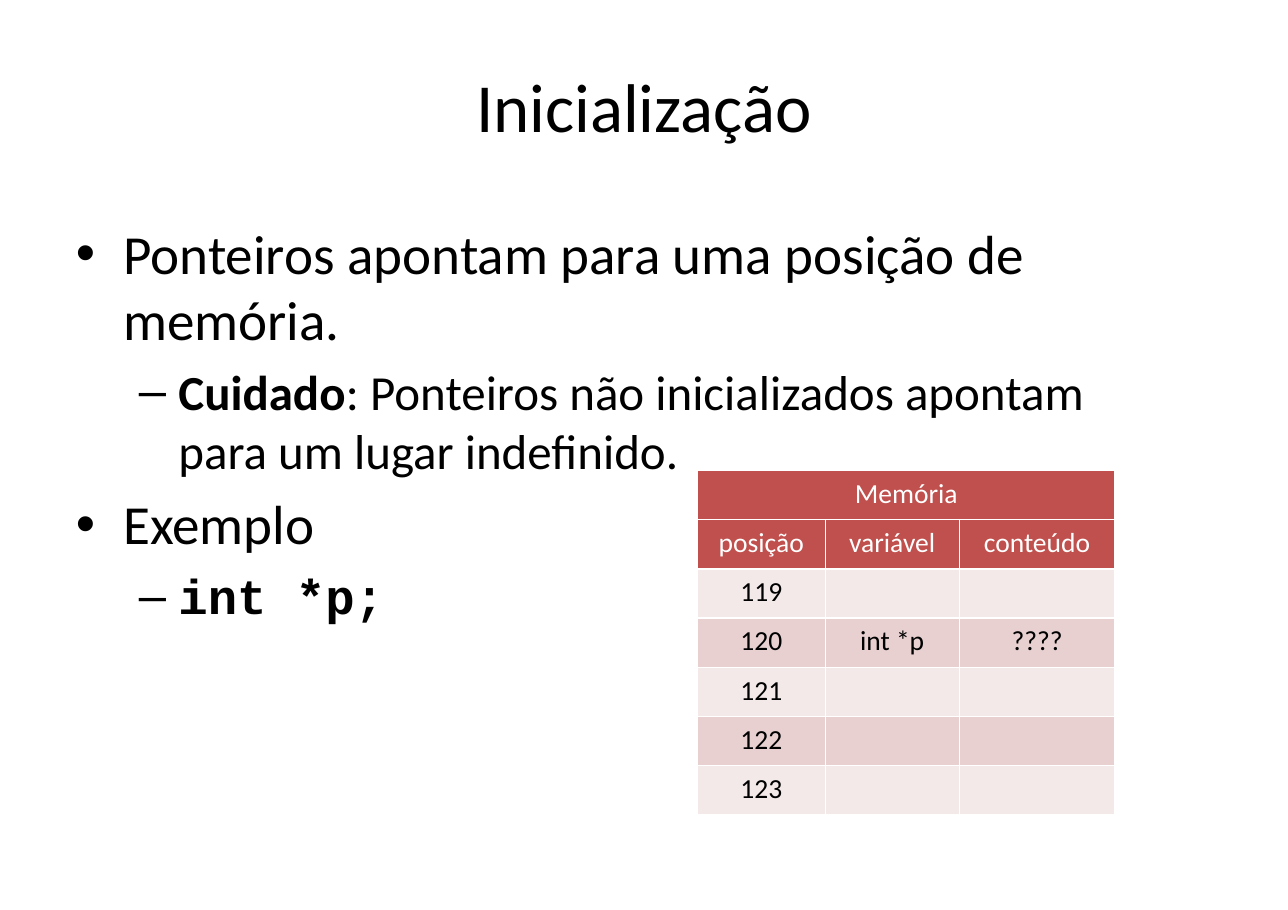
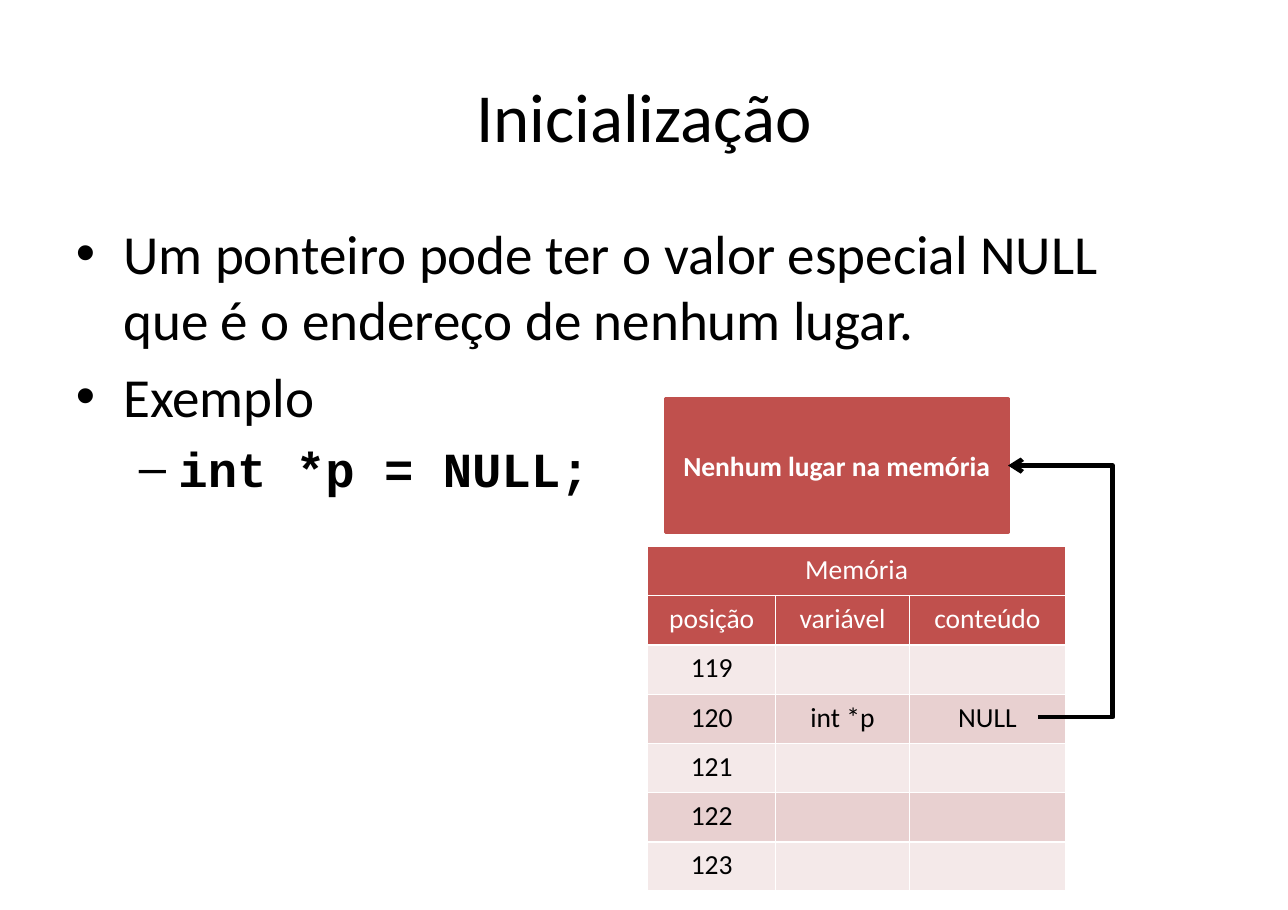
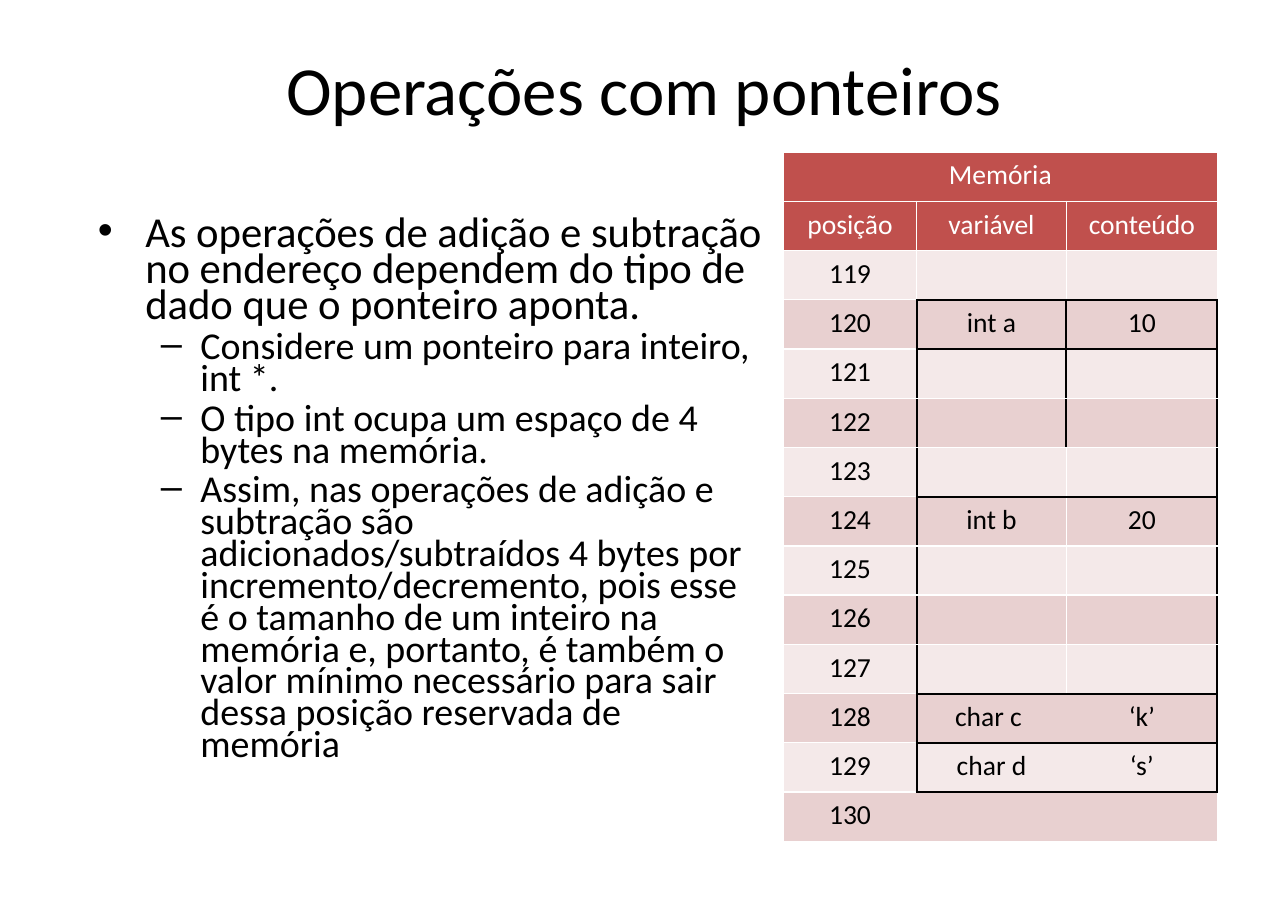
from pptx import Presentation, util as u
from pptx.dml.color import RGBColor
from pptx.enum import shapes, text
from pptx.oxml.ns import qn
from lxml import etree

WIDE, HIGH = u.Inches(11.69), u.Inches(8.26)
BLACK = RGBColor(0x00, 0x00, 0x00)
WHITE = RGBColor(0xFF, 0xFF, 0xFF)
RED = RGBColor(0xC0, 0x50, 0x4D)
PALE = RGBColor(0xF4, 0xE9, 0xE9)
ROSE = RGBColor(0xE8, 0xD0, 0xD0)
SANS, MONO = "Calibri", "Courier New"
PAD_X, PAD_Y = u.Inches(0.11), u.Inches(0.06)
ROW = 5.41  # table row height, percent of slide height
COLS = (9.92, 10.4, 12.1)
BULLETS = (("•", 0.43, 0.43), ("–", 0.93, 0.36))  # sign, margin, hang
HEAD = ("posição", "variável", "conteúdo")


# Shares of the slide, in percent
def across(pct):
    return round(WIDE * pct / 100)


def down(pct):
    return round(HIGH * pct / 100)


def area(x, y, w, h):
    return across(x), down(y), across(w), down(h)


def sub(node, tag, **attrs):
    return etree.SubElement(node, qn(tag), attrs)


def add_run(para, words, size, color=BLACK, bold=False, face=SANS):
    run = para.add_run()
    run.text = words
    font = run.font
    font.size, font.name, font.bold = u.Pt(size), face, bold
    font.color.rgb = color


def set_pads(frame):
    frame.margin_left = frame.margin_right = PAD_X
    frame.margin_top = frame.margin_bottom = PAD_Y
    frame.word_wrap = True


def add_slide(deck, title, top):
    slide = deck.slides.add_slide(deck.slide_layouts[5])
    head = slide.shapes.title
    head.left, head.top, head.width, head.height = area(7.5, top, 85, 7.87)
    frame = head.text_frame
    set_pads(frame)
    frame.auto_size = text.MSO_AUTO_SIZE.NONE
    frame.vertical_anchor = text.MSO_ANCHOR.MIDDLE
    para = frame.paragraphs[0]
    para.alignment = text.PP_ALIGN.CENTER
    add_run(para, title, 45)
    return slide


# Bulleted text: items are (level, run, run, ...), each run (words, bold, face)
def add_body(slide, items, left=4.96, width=81.69, sizes=(36, 32), lead=None):
    frame = slide.shapes.add_textbox(*area(left, 23.37, width, 71.07)).text_frame
    set_pads(frame)
    for i, (level, *runs) in enumerate(items):
        para = frame.paragraphs[0] if i == 0 else frame.add_paragraph()
        sign, margin, hang = BULLETS[level]
        size = sizes[level]
        props = para._p.get_or_add_pPr()
        props.set("marL", str(u.Inches(margin)))
        props.set("indent", str(-u.Inches(hang)))
        sub(props, "a:buFont", typeface="Arial")
        sub(props, "a:buChar", char=sign)
        para.level = level
        para.space_before = u.Pt(size * 0.2 if i else 0)
        if lead:
            para.line_spacing = lead
        for words, bold, face in runs:
            add_run(para, words, size, bold=bold, face=face)


def plain(words):
    return words, False, SANS


def code(words):
    return words, True, MONO


# Table borders: each rule gives (colour, points), or None for no line
THIN, THICK = (WHITE, 1), (BLACK, 1.5)


def grid_rule(row, col, side):
    return THIN


def block_rule(row, col, side):
    """Black frames round the variables in rows 3 to 12."""
    if side in "TB":
        edge = row + (side == "B")
        if col and edge in (3, 4, 7, 11, 12, 13):
            return THICK
        return None if col and edge == 14 else THIN
    edge = col + (side == "R")
    if row == 13 and edge:
        return None
    if 3 <= row <= 12 and edge in (1, 3):
        return THICK
    if edge == 2 and row in (3, 4, 5):
        return THICK
    return None if edge == 2 and row in (11, 12) else THIN


def set_edge(cell, side, line):
    color, width = line or (None, 0)
    node = sub(cell._tc.get_or_add_tcPr(), "a:ln" + side, w=str(u.Pt(width)))
    if color is None:
        sub(node, "a:noFill")
    else:
        sub(sub(node, "a:solidFill"), "a:srgbClr", val=str(color))


def add_memory(slide, left, top, last, values, cols=COLS, rule=grid_rule):
    rows = [("Memória", "", ""), HEAD]
    rows += [(str(n), *values.get(n, ("", ""))) for n in range(119, last + 1)]
    spot = area(left, top, sum(cols), ROW * len(rows))
    table = slide.shapes.add_table(len(rows), len(cols), *spot).table
    table.first_row = table.horz_banding = False
    for col, share in zip(table.columns, cols):
        col.width = across(share)
    for r, row in enumerate(rows):
        table.rows[r].height = down(ROW)
        fill = RED if r < 2 else (PALE, ROSE)[r % 2]
        for c, words in enumerate(row):
            cell = table.cell(r, c)
            for side in "LRTB":
                set_edge(cell, side, rule(r, c, side))
            cell.fill.solid()
            cell.fill.fore_color.rgb = fill
            cell.margin_left = cell.margin_right = u.Inches(0.12)
            cell.margin_top = cell.margin_bottom = PAD_Y
            para = cell.text_frame.paragraphs[0]
            para.alignment = text.PP_ALIGN.CENTER
            if words:
                add_run(para, words, 18, WHITE if r < 2 else BLACK)
    table.cell(0, 0).merge(table.cell(0, len(cols) - 1))


def add_box(slide, words, *spot):
    box = slide.shapes.add_shape(shapes.MSO_SHAPE.RECTANGLE, *area(*spot))
    box.shadow.inherit = False
    box.fill.solid()
    box.fill.fore_color.rgb = box.line.color.rgb = RED
    box.line.width = u.Pt(2)
    frame = box.text_frame
    frame.word_wrap = True
    frame.vertical_anchor = text.MSO_ANCHOR.MIDDLE
    para = frame.paragraphs[0]
    para.alignment = text.PP_ALIGN.CENTER
    add_run(para, words, 18, WHITE, bold=True)


def add_elbow(slide, start, end, bend):
    """Arrow from start to end that turns back at the column bend."""
    (x1, y1), (x2, y2) = start, end
    line = slide.shapes.add_connector(
        shapes.MSO_CONNECTOR.ELBOW, across(x1), down(y1), across(x2), down(y2))
    line.line.color.rgb = BLACK
    line.line.width = u.Pt(3)
    props = line._element.spPr
    sub(props.find(qn("a:ln")), "a:tailEnd", type="arrow")
    sub(props, "a:effectLst")
    turn = round((bend - x1) / (x2 - x1) * 100000)
    guides = props.find(qn("a:prstGeom")).find(qn("a:avLst"))
    sub(guides, "a:gd", name="adj1", fmla=f"val {turn}")


def main():
    deck = Presentation()
    deck.slide_width, deck.slide_height = WIDE, HIGH

    # Uninitialised pointer
    slide = add_slide(deck, "Inicialização", 7.63)
    add_body(slide, [
        (0, plain("Ponteiros apontam para uma posição de memória.")),
        (1, ("Cuidado", True, SANS),
         plain(": Ponteiros não inicializados apontam para um lugar indefinido.")),
        (0, plain("Exemplo")),
        (1, code("int *p;")),
    ])
    add_memory(slide, 54.15, 51.69, 123, {120: ("int *p", "????")})

    # Null pointer
    slide = add_slide(deck, "Inicialização", 8.72)
    add_body(slide, [
        (0, plain("Um ponteiro pode ter o valor especial NULL "
                  "que é o endereço de nenhum lugar.")),
        (0, plain("Exemplo")),
        (1, code("int *p = NULL;")),
    ])
    add_memory(slide, 50.3, 60.05, 123, {120: ("int *p", "NULL")})
    add_box(slide, "Nenhum lugar na memória", 51.67, 43.83, 26.6, 14.65)
    add_elbow(slide, (80.58, 78.81), (78.27, 51.16), 86.4)

    # Pointer arithmetic
    slide = add_slide(deck, "Operações com ponteiros", 5.69)
    add_body(slide, [
        (0, plain("As operações de adição e subtração no endereço "
                  "dependem do tipo de dado que o ponteiro aponta.")),
        (1, plain("Considere um ponteiro para inteiro, int *.")),
        (1, plain("O tipo int ocupa um espaço de 4 bytes na memória.")),
        (1, plain("Assim, nas operações de adição e subtração são "
                  "adicionados/subtraídos 4 bytes por incremento/decremento, "
                  "pois esse é o tamanho de um inteiro na memória e, portanto, "
                  "é também o valor mínimo necessário para sair dessa posição "
                  "reservada de memória")),
    ], left=6.67, width=53.55, sizes=(27.9, 24.8), lead=0.7)
    values = {120: ("int a", "10"), 124: ("int b", "20"),
              128: ("char c ", "‘k’"), 129: ("char d", "‘s’")}
    add_memory(slide, 60.82, 16.71, 130, values,
               cols=(10.35, 11.63, 11.72), rule=block_rule)

    deck.save("out.pptx")


if __name__ == "__main__":
    main()
